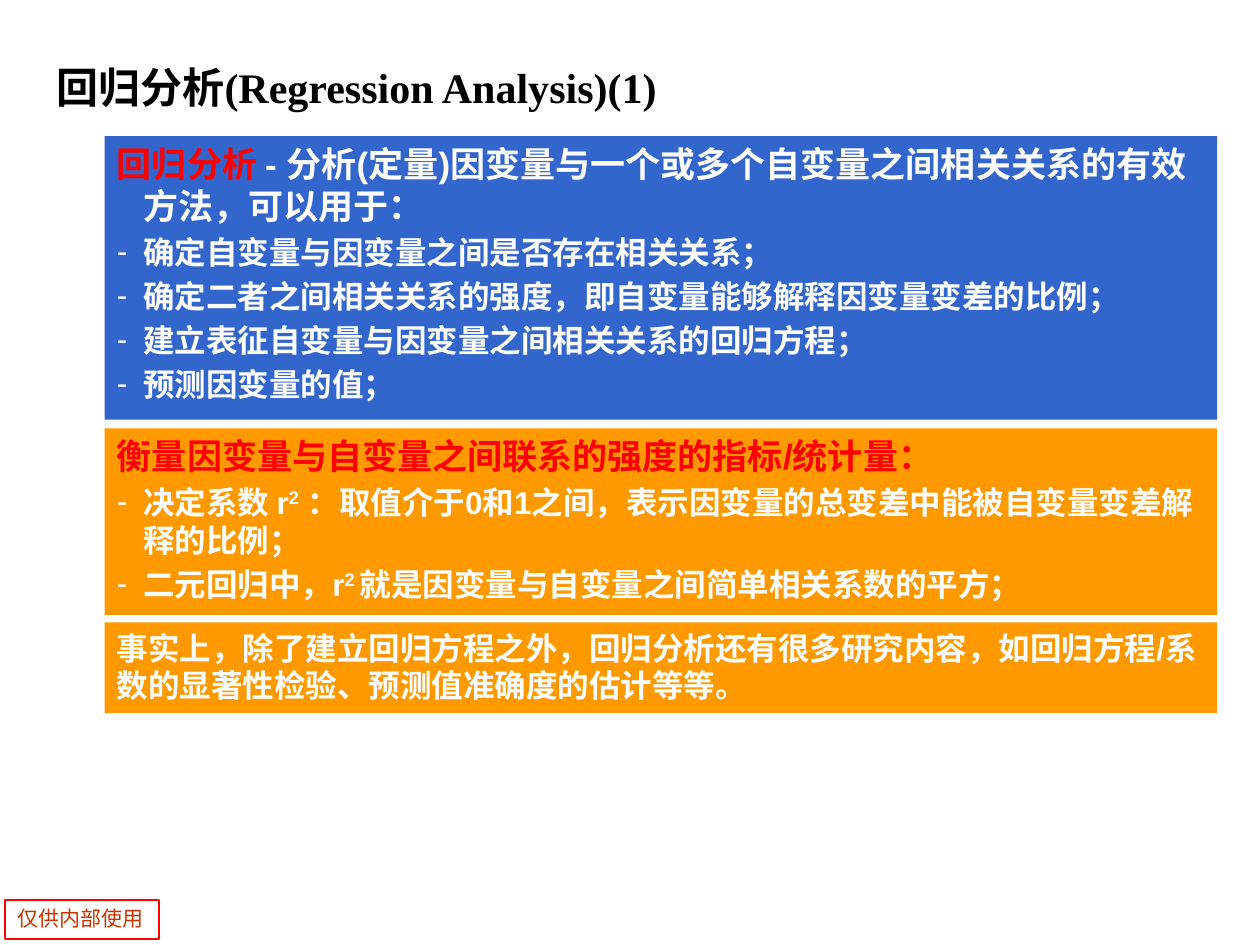
from lxml.etree import SubElement
from pptx import Presentation
from pptx.dml.color import RGBColor
from pptx.enum.shapes import MSO_SHAPE
from pptx.enum.text import MSO_ANCHOR, PP_ALIGN
from pptx.oxml.ns import qn
from pptx.util import Inches, Pt

RED = RGBColor(0xFF, 0x00, 0x00)
RUST = RGBColor(0xCC, 0x33, 0x00)
BLUE = RGBColor(0x33, 0x66, 0xCC)
ORANGE = RGBColor(0xFF, 0x99, 0x00)
WHITE = RGBColor(0xFF, 0xFF, 0xFF)
BLACK = RGBColor(0x00, 0x00, 0x00)
HAN = "Noto Sans CJK SC"
LEFT, WIDTH, HANG = 0.83, 8.83, 0.21


class Deck:
    def __init__(self):
        self.prs = Presentation()
        self.prs.slide_width = Inches(10)
        self.prs.slide_height = Inches(7.5)
        self.slide = self.prs.slides.add_slide(self.prs.slide_layouts[6])

    def run(self, para, text, size, color, bold=True, font="Arial", sup=False):
        run = para.add_run()
        run.text = text
        face = run.font
        face.size, face.bold, face.name = Pt(size), bold, font
        face.color.rgb = color
        props = run._r.get_or_add_rPr()
        SubElement(props, qn("a:ea")).set("typeface", HAN)
        if sup:
            props.set("baseline", "30000")

    def title(self, text):
        box = self.slide.shapes.add_textbox(
            Inches(0.35), Inches(0.23), Inches(9.45), Inches(0.92))
        frame = box.text_frame
        frame.word_wrap = True
        frame.vertical_anchor = MSO_ANCHOR.MIDDLE
        self.run(frame.paragraphs[0], text, 24, BLACK, font="Times New Roman")

    def rect(self, left, top, width, height, fill=None, line=None):
        box = self.slide.shapes.add_shape(
            MSO_SHAPE.RECTANGLE, Inches(left), Inches(top), Inches(width), Inches(height))
        box.shadow.inherit = False
        if fill is None:
            box.fill.background()
        else:
            box.fill.solid()
            box.fill.fore_color.rgb = fill
        if line is None:
            box.line.fill.background()
        else:
            box.line.color.rgb = line
            box.line.width = Pt(1)
        frame = box.text_frame
        frame.word_wrap = True
        frame.vertical_anchor = MSO_ANCHOR.TOP
        frame.paragraphs[0].alignment = PP_ALIGN.LEFT
        return frame

    def indent(self, para, tab, mark=None):
        para.alignment = PP_ALIGN.LEFT
        props = para._p.get_or_add_pPr()
        props.set("marL", str(Inches(HANG)))
        props.set("indent", str(-Inches(HANG)))
        if mark:
            SubElement(props, qn("a:buFont")).set("typeface", "Arial")
            SubElement(props, qn("a:buChar")).set("char", mark)
        stop = SubElement(SubElement(props, qn("a:tabLst")), qn("a:tab"))
        stop.set("pos", str(Inches(tab)))
        stop.set("algn", "l")

    def panel(self, top, height, fill, tab, head, items):
        frame = self.rect(LEFT, top, WIDTH, height, fill)
        para = frame.paragraphs[0]
        self.indent(para, tab)
        for text, color in head:
            self.run(para, text, 20, color)
        for item in items:
            para = frame.add_paragraph()
            self.indent(para, tab, "-")
            para.space_before = Pt(3.6)
            for i, text in enumerate(item):
                self.run(para, text, 18, WHITE, sup=i == 1)

    def note(self, top, height, fill, text):
        frame = self.rect(LEFT, top, WIDTH, height, fill)
        self.run(frame.paragraphs[0], text, 18, WHITE)

    def stamp(self, text):
        frame = self.rect(0.04, 7.14, 1.22, 0.31, line=RED)
        self.run(frame.paragraphs[0], text, 12, RUST, bold=False, font=HAN)


def main():
    deck = Deck()
    deck.stamp("仅供内部使用")
    deck.title("回归分析(Regression Analysis)(1)")
    deck.panel(1.08, 2.25, BLUE, 1.36, [
        ("回归分析 ", RED),
        ("- 分析(定量)因变量与一个或多个自变量之间相关关系的有效\t方法，可以用于：", WHITE),
    ], [
        ["确定自变量与因变量之间是否存在相关关系；"],
        ["确定二者之间相关关系的强度，即自变量能够解释因变量变差的比例；"],
        ["建立表征自变量与因变量之间相关关系的回归方程；"],
        ["预测因变量的值；"],
    ])
    deck.panel(3.4, 1.48, ORANGE, 1.41, [
        ("衡量因变量与自变量之间联系的强度的指标/统计量：", RED),
    ], [
        ["决定系数 r", "2",
         " ：取值介于0和1之间，表示因变量的总变差中能被自变量变差解释的比例；"],
        ["二元回归中，r", "2 ", "就是因变量与自变量之间简单相关系数的平方；"],
    ])
    deck.note(4.94, 0.72, ORANGE,
              "事实上，除了建立回归方程之外，回归分析还有很多研究内容，"
              "如回归方程/系数的显著性检验、预测值准确度的估计等等。")
    deck.prs.save("out.pptx")


if __name__ == "__main__":
    main()
